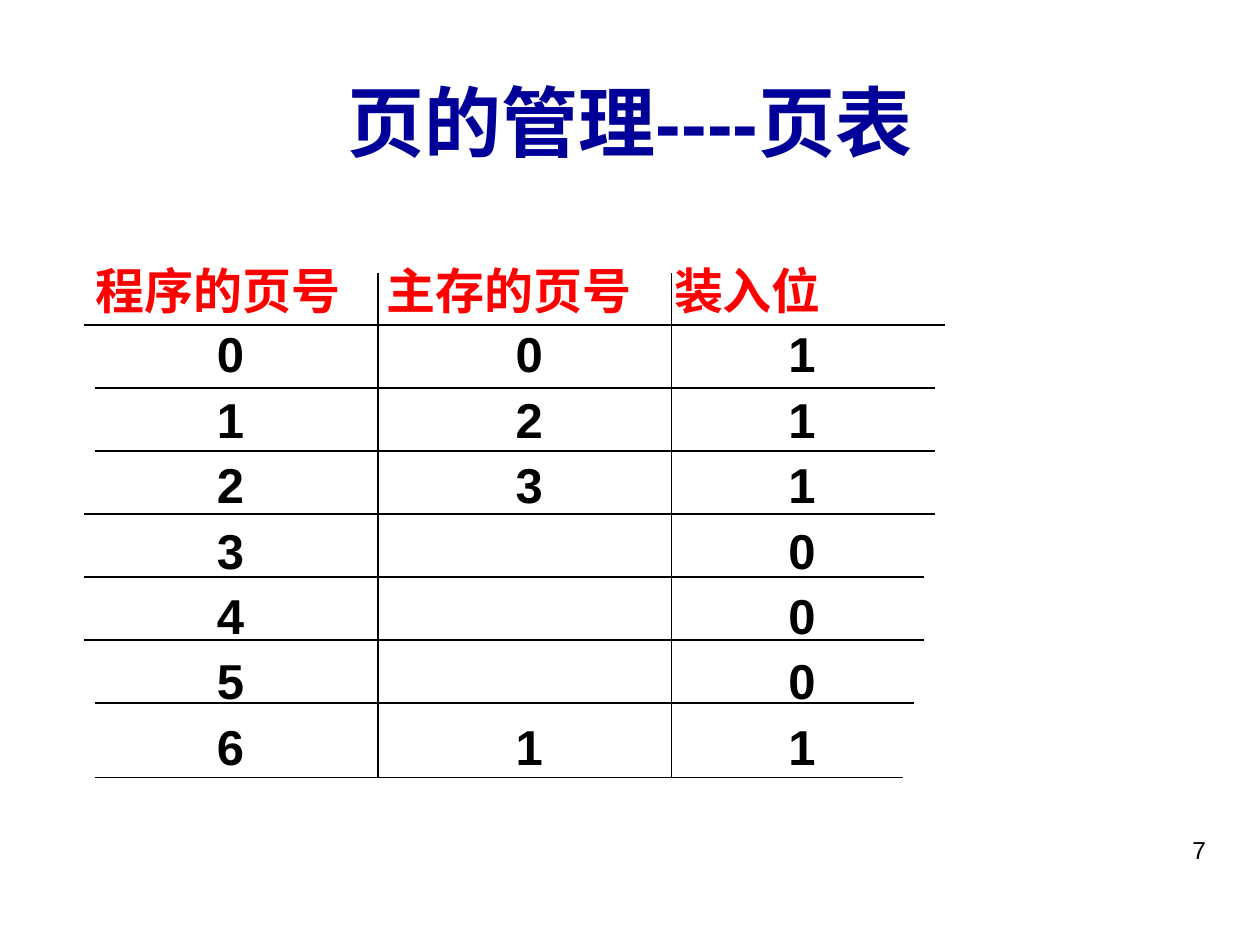
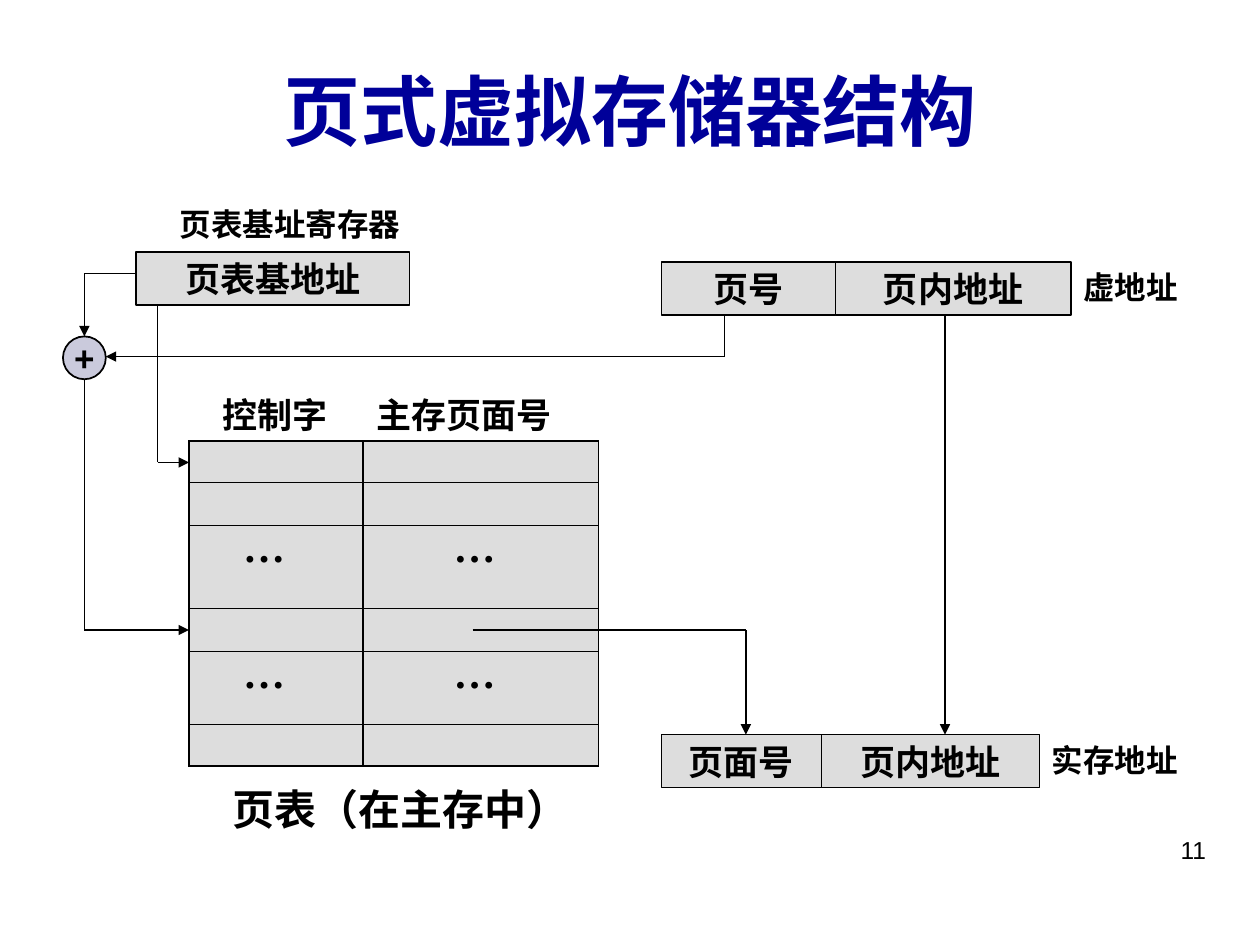
"""Two slides on paged virtual memory: the page table and the address translation."""
from itertools import pairwise

from lxml import etree
from pptx import Presentation
from pptx.dml.color import RGBColor
from pptx.enum.shapes import MSO_CONNECTOR, MSO_SHAPE
from pptx.enum.text import MSO_ANCHOR, PP_ALIGN
from pptx.oxml.ns import qn
from pptx.util import Inches, Pt

COLORS = {"title": "000099", "header": "FF0000", "ink": "000000",
          "box": "DDDDDD", "adder": "CACADC"}
SANS, SERIF = "Arial", "Times New Roman"

PAGE_ROWS = [
    ("程序的页号", "主存的页号", "装入位"),
    ("0", "0", "1"),
    ("1", "2", "1"),
    ("2", "3", "1"),
    ("3", "", "0"),
    ("4", "", "0"),
    ("5", "", "0"),
    ("6", "1", "1"),
]
PAGE_COLS = [0.66, 3, 5.33, 7.4]
PAGE_MARGINS = [(0.1, 0.1), (0.07, 0), (0.02, 0.02)]
PAGE_TOP, HEADER_H, ROW_H = 2.03, 0.55, 0.52
ROW_RULES = [
    (0.67, 7.5, 2.58), (0.75, 7.42, 3.08), (0.75, 7.42, 3.58), (0.67, 7.42, 4.08),
    (0.67, 7.33, 4.58), (0.67, 7.33, 5.08), (0.75, 7.25, 5.58), (0.75, 7.17, 6.17),
]
COL_RULE_TOP, COL_RULE_BOTTOM = 2.17, 6.17

BAR_H = 0.42
BARS = [
    (2, [1.08, 3.25], ["页表基地址"]),
    (2.08, [5.25, 6.63, 8.5], ["页号", "页内地址"]),
    (5.83, [5.25, 6.52, 8.25], ["页面号", "页内地址"]),
]
LABELS = [
    ("页表基址寄存器", 1.33, 1.58, 2.08, 0.4, 18),
    ("虚地址", 8.5, 2.08, 1.08, 0.4, 18),
    ("实存地址", 8.25, 5.83, 1.25, 0.4, 18),
    ("控制字", 1.67, 3.07, 1.1, 0.44, 20),
    ("主存页面号", 2.89, 3.07, 1.7, 0.44, 20),
    ("页表（在主存中）", 1.75, 6.17, 4.33, 0.5, 24),
]
MEMORY_ROWS = [("", ""), ("", ""), ("…", "…"), ("", ""), ("…", "…"), ("", "")]
MEMORY_COLS = [1.5, 2.88, 4.75]
MEMORY_LINES = [3.5, 3.83, 4.17, 4.83, 5.17, 5.75, 6.08]
MEMORY_MARGINS = [(0.43, 0), (0.72, 0)]
ADDER = (0.5, 2.67, 0.34, 0.34)
ROUTES = [
    [(5.75, 2.5), (5.75, 2.83), (0.84, 2.83)],
    [(1.25, 2.42), (1.25, 3.67), (1.5, 3.67)],
    [(0.67, 3.01), (0.67, 5), (1.5, 5)],
    [(3.75, 5), (5.92, 5), (5.92, 5.83)],
    [(7.5, 2.5), (7.5, 5.83)],
]
BASE_ROUTE = [(1.08, 2.17), (0.67, 2.17), (0.67, 2.67)]


def rgb(name):
    return RGBColor.from_string(COLORS[name])


def write(tf, text, size, color="ink", font=SANS, align=PP_ALIGN.LEFT, bold=True):
    tf.text = text
    p = tf.paragraphs[0]
    p.alignment = align
    for r in p.runs:
        r.font.name, r.font.size, r.font.bold = font, Pt(size), bold
        r.font.color.rgb = rgb(color)
    return p


def add_label(s, text, x, y, w, h, size, **style):
    tf = s.shapes.add_textbox(*map(Inches, (x, y, w, h))).text_frame
    tf.word_wrap = True
    write(tf, text, size, **style)


def add_slide(prs, title, number, title_h):
    s = prs.slides.add_slide(prs.slide_layouts[5])
    sp = s.shapes.title
    sp.left, sp.top, sp.width, sp.height = map(Inches, (0.33, 0.33, 9.34, title_h))
    sp.text_frame.vertical_anchor = MSO_ANCHOR.MIDDLE
    write(sp.text_frame, title, 44, "title", align=PP_ALIGN.CENTER)
    add_label(s, number, 7.17, 6.58, 2.5, 0.52, 14, align=PP_ALIGN.RIGHT, bold=False)
    return s


def add_box(s, kind, text, place, fill, font, line_w):
    sp = s.shapes.add_shape(kind, *map(Inches, place))
    sp.shadow.inherit = False
    sp.fill.solid()
    sp.fill.fore_color.rgb = rgb(fill)
    sp.line.color.rgb = rgb("ink")
    sp.line.width = Pt(line_w)
    sp.text_frame.word_wrap = False
    sp.text_frame.vertical_anchor = MSO_ANCHOR.MIDDLE
    write(sp.text_frame, text, 20, font=font, align=PP_ALIGN.CENTER)
    return sp


def add_line(s, start, end, arrow=False):
    c = s.shapes.add_connector(MSO_CONNECTOR.STRAIGHT, *map(Inches, (*start, *end)))
    c.line.color.rgb = rgb("ink")
    c.line.width = Pt(1)
    if arrow:
        etree.SubElement(c.line._get_or_add_ln(), qn("a:tailEnd"), type="triangle")
    etree.SubElement(c._element.spPr, qn("a:effectLst"))
    return c


def add_route(s, points):
    last = len(points) - 2
    lines = [add_line(s, a, b, i == last) for i, (a, b) in enumerate(pairwise(points))]
    return lines[-1]


def add_grid(s, rows, xs, ys, margins):
    place = (xs[0], ys[0], xs[-1] - xs[0], ys[-1] - ys[0])
    table = s.shapes.add_table(len(rows), len(rows[0]), *map(Inches, place)).table
    table.first_row = table.horz_banding = False
    for col, (a, b) in zip(table.columns, pairwise(xs)):
        col.width = Inches(b - a)
    for row, (a, b) in zip(table.rows, pairwise(ys)):
        row.height = Inches(b - a)
        for cell, (left, right) in zip(row.cells, margins):
            cell.margin_left, cell.margin_right = Inches(left), Inches(right)
            cell.margin_top = cell.margin_bottom = 0
            cell.fill.background()
    return table


def add_borders(cell):
    tc_pr = cell._tc.get_or_add_tcPr()
    for i, side in enumerate(("lnL", "lnR", "lnT", "lnB")):
        ln = etree.Element(qn(f"a:{side}"), w=str(Pt(1)))
        fill = etree.SubElement(ln, qn("a:solidFill"))
        etree.SubElement(fill, qn("a:srgbClr"), val=COLORS["ink"])
        tc_pr.insert(i, ln)


def build_page_table(prs):
    s = add_slide(prs, "页的管理----页表", "7", 1.25)
    first = PAGE_TOP + HEADER_H
    ys = [PAGE_TOP] + [first + i * ROW_H for i in range(len(PAGE_ROWS))]
    table = add_grid(s, PAGE_ROWS, PAGE_COLS, ys, PAGE_MARGINS)
    for i, (row, texts) in enumerate(zip(table.rows, PAGE_ROWS)):
        color, align = ("ink", PP_ALIGN.CENTER) if i else ("header", PP_ALIGN.LEFT)
        for cell, text in zip(row.cells, texts):
            cell.vertical_anchor = MSO_ANCHOR.MIDDLE
            write(cell.text_frame, text, 28, color, align=align).line_spacing = 0.9
    for left, right, y in ROW_RULES:
        add_line(s, (left, y), (right, y))
    for x in PAGE_COLS[1:-1]:
        add_line(s, (x, COL_RULE_TOP), (x, COL_RULE_BOTTOM))


def build_structure(prs):
    s = add_slide(prs, "页式虚拟存储器结构", "11", 1.08)
    for y, xs, fields in BARS:
        for (a, b), text in zip(pairwise(xs), fields):
            add_box(s, MSO_SHAPE.RECTANGLE, text, (a, y, b - a, BAR_H), "box", SERIF, 0.75)
    for label in LABELS:
        add_label(s, *label)
    table = add_grid(s, MEMORY_ROWS, MEMORY_COLS, MEMORY_LINES, MEMORY_MARGINS)
    for row, texts in zip(table.rows, MEMORY_ROWS):
        for cell, text in zip(row.cells, texts):
            cell.fill.solid()
            cell.fill.fore_color.rgb = rgb("box")
            add_borders(cell)
            write(cell.text_frame, text, 24, font=SERIF)
    adder = add_box(s, MSO_SHAPE.OVAL, "+", ADDER, "adder", SANS, 1)
    for points in ROUTES:
        add_route(s, points)
    add_route(s, BASE_ROUTE).end_connect(adder, 0)


def main():
    prs = Presentation()
    prs.slide_width, prs.slide_height = Inches(10), Inches(7.5)
    build_page_table(prs)
    build_structure(prs)
    prs.save("out.pptx")


if __name__ == "__main__":
    main()
